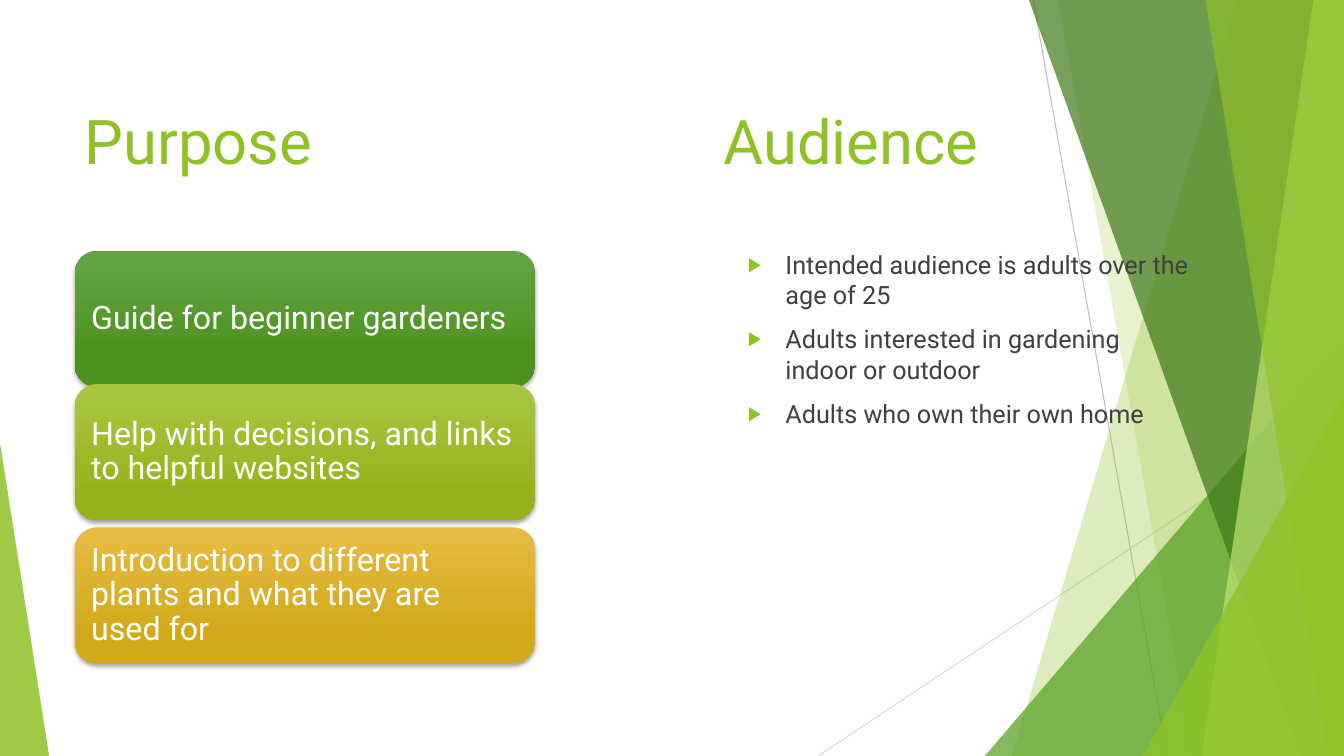
from dataclasses import dataclass

import lxml.etree
import pptx
import pptx.dml.color
import pptx.enum.shapes
import pptx.enum.text
import pptx.oxml.ns
import pptx.util

Cm = pptx.util.Cm
Pt = pptx.util.Pt
MSO_SHAPE = pptx.enum.shapes.MSO_SHAPE


@dataclass(frozen=True)
class Theme:
    font: str = "Roboto"
    title_size: int = 44
    card_size: int = 23
    body_size: int = 18
    white: str = "FFFFFF"
    text: str = "404040"
    accent: str = "90C226"
    leaf: str = "54A021"
    forest: str = "3F7819"
    lime: str = "C0E474"
    line_dark: str = "BFBFBF"
    line_light: str = "D9D9D9"
    shadow: str = "000000"
    card_gradients: tuple = (("63A545", "4D921E"), ("AAC744", "97B31C"), ("E7BC43", "D2A91B"))


@dataclass(frozen=True)
class Box:
    """A region in centimetres."""
    left: float
    top: float
    width: float
    height: float

    @property
    def right(self):
        return self.left + self.width

    @property
    def bottom(self):
        return self.top + self.height

    def lengths(self):
        return Cm(self.left), Cm(self.top), Cm(self.width), Cm(self.height)


THEME = Theme()
SLIDE = Box(0, 0, 33.87, 19.05)
TITLE = Box(1.88, 1.7, 29.39, 3.66)
CARDS = Box(1.88, 6.32, 11.61, 10.4)
AUDIENCE = Box(18.59, 6.15, 11.63, 10.77)


def rgb(color):
    return pptx.dml.color.RGBColor.from_string(color)


def add_xml(parent, tag, **attributes):
    return lxml.etree.SubElement(parent, pptx.oxml.ns.qn(tag), attributes)


def fill_translucent(shape, color, opacity):
    shape.shadow.inherit = False
    shape.line.fill.background()
    shape.fill.solid()
    shape.fill.fore_color.rgb = rgb(color)
    color_element = next(shape.element.spPr.iter(pptx.oxml.ns.qn("a:srgbClr")))
    add_xml(color_element, "a:alpha", val=str(opacity * 1000))


def format_runs(paragraph, size, color):
    for run in paragraph.runs:
        run.font.name = THEME.font
        run.font.size = Pt(size)
        run.font.color.rgb = rgb(color)


def place(placeholder, box):
    """Move a placeholder into its box, in front of what is drawn so far."""
    placeholder.left, placeholder.top, placeholder.width, placeholder.height = box.lengths()
    placeholder.element.getparent().append(placeholder.element)
    frame = placeholder.text_frame
    frame.word_wrap = True
    frame.auto_size = pptx.enum.text.MSO_AUTO_SIZE.NONE
    return frame


def add_hairline(slide, color, begin, end):
    connector = slide.shapes.add_connector(
        pptx.enum.shapes.MSO_CONNECTOR.STRAIGHT, *map(Cm, begin + end))
    connector.line.color.rgb = rgb(color)
    connector.line.width = Pt(0.75)
    add_xml(connector.element.spPr, "a:effectLst")


def add_band(slide, box, top_inset, bottom_inset, color, opacity):
    """Fill from a slanted left edge to the box's right side; insets are from that side."""
    builder = slide.shapes.build_freeform(Cm(box.right - top_inset), Cm(box.top))
    corners = ((box.right, box.top), (box.right, box.bottom),
               (box.right - bottom_inset, box.bottom))
    builder.add_line_segments([(Cm(x), Cm(y)) for x, y in corners], close=True)
    fill_translucent(builder.convert_to_shape(), color, opacity)


def add_triangle(slide, box, apex, color, opacity):
    triangle = slide.shapes.add_shape(MSO_SHAPE.ISOSCELES_TRIANGLE, *box.lengths())
    triangle.adjustments[0] = apex
    fill_translucent(triangle, color, opacity)


def add_backdrop(slide, box):
    def add_corner(width, height, color, opacity):
        corner = Box(box.right - width, box.bottom - height, width, height)
        add_triangle(slide, corner, 1, color, opacity)

    add_hairline(slide, THEME.line_dark,
                 (box.right - 7.83, box.top), (box.right - 4.46, box.bottom))
    add_hairline(slide, THEME.line_light,
                 (box.right, box.bottom - 8.81), (box.right - 13.25, box.bottom))
    add_band(slide, box, 2.68, 8.37, THEME.accent, 30)
    add_band(slide, box, 7.2, 3.82, THEME.accent, 20)
    add_corner(9.05, 10.59, THEME.leaf, 72)
    add_band(slide, box, 7.94, 1.08, THEME.forest, 70)
    add_band(slide, box, 0.77, 3.59, THEME.lime, 70)
    add_band(slide, box, 3.49, 0.39, THEME.accent, 65)
    add_corner(5.07, 9.07, THEME.accent, 80)
    add_triangle(slide, Box(box.left, box.bottom - 7.9, 1.24, 7.9), 0, THEME.accent, 85)


def add_title(slide, box, headings):
    """Set both headings in the title, the second at a tab stop."""
    frame = place(slide.shapes.title, box)
    frame.vertical_anchor = pptx.enum.text.MSO_ANCHOR.MIDDLE
    frame.text = "\t".join(headings)
    paragraph = frame.paragraphs[0]
    paragraph.alignment = pptx.enum.text.PP_ALIGN.LEFT
    format_runs(paragraph, THEME.title_size, THEME.accent)
    tabs = add_xml(paragraph.runs[0].font._element.getparent().getparent().get_or_add_pPr(),
                   "a:tabLst")
    add_xml(tabs, "a:tab", pos=str(Cm(16.1)), algn="l")


def add_card(slide, box, text, gradient):
    card = slide.shapes.add_shape(MSO_SHAPE.ROUNDED_RECTANGLE, *box.lengths())
    card.line.fill.background()
    card.fill.gradient()
    card.fill.gradient_angle = 270
    for stop, color, position in zip(card.fill.gradient_stops, gradient, (0, 0.78)):
        stop.color.rgb = rgb(color)
        stop.position = position

    card.shadow.inherit = False
    effects = card.element.spPr.find(pptx.oxml.ns.qn("a:effectLst"))
    shadow = add_xml(effects, "a:outerShdw", blurRad=str(Pt(3)), dist=str(Pt(2)),
                     dir="5400000", algn="ctr", rotWithShape="0")
    add_xml(add_xml(shadow, "a:srgbClr", val=THEME.shadow), "a:alpha", val="35000")

    frame = card.text_frame
    frame.word_wrap = True
    frame.vertical_anchor = pptx.enum.text.MSO_ANCHOR.MIDDLE
    frame.margin_left = frame.margin_right = Cm(0.25)
    frame.margin_top = frame.margin_bottom = Cm(0.25)
    frame.text = text
    paragraph = frame.paragraphs[0]
    paragraph.alignment = pptx.enum.text.PP_ALIGN.LEFT
    paragraph.line_spacing = 0.9
    format_runs(paragraph, THEME.card_size, THEME.white)


def add_purpose_cards(slide, box, purposes):
    card_height = 3.43
    offsets = (0, 3.36, box.height - card_height)
    for offset, text, gradient in zip(offsets, purposes, THEME.card_gradients):
        add_card(slide, Box(box.left, box.top + offset, box.width, card_height), text, gradient)


def add_audience_list(slide, box, items):
    frame = place(slide.placeholders[1], box)
    frame.text = "\n".join(items)
    for paragraph in frame.paragraphs:
        paragraph.space_before = Pt(10)
        format_runs(paragraph, THEME.body_size, THEME.text)
        properties = paragraph._p.get_or_add_pPr()
        properties.set("marL", str(Cm(0.95)))
        properties.set("indent", str(Cm(-0.95)))
        add_xml(add_xml(properties, "a:buClr"), "a:srgbClr", val=THEME.accent)
        add_xml(properties, "a:buSzPct", val="80000")
        add_xml(properties, "a:buChar", char="▶")


def main():
    presentation = pptx.Presentation()
    presentation.slide_width, presentation.slide_height = Cm(SLIDE.width), Cm(SLIDE.height)
    slide = presentation.slides.add_slide(presentation.slide_layouts[1])
    add_backdrop(slide, SLIDE)
    add_title(slide, TITLE, ("Purpose", "Audience"))
    add_purpose_cards(slide, CARDS, (
        "Guide for beginner gardeners",
        "Help with decisions, and links to helpful websites",
        "Introduction to different plants and what they are used for"))
    add_audience_list(slide, AUDIENCE, (
        "Intended audience is adults over the age of 25",
        "Adults interested in gardening indoor or outdoor",
        "Adults who own their own home"))
    presentation.save("out.pptx")


if __name__ == "__main__":
    main()
